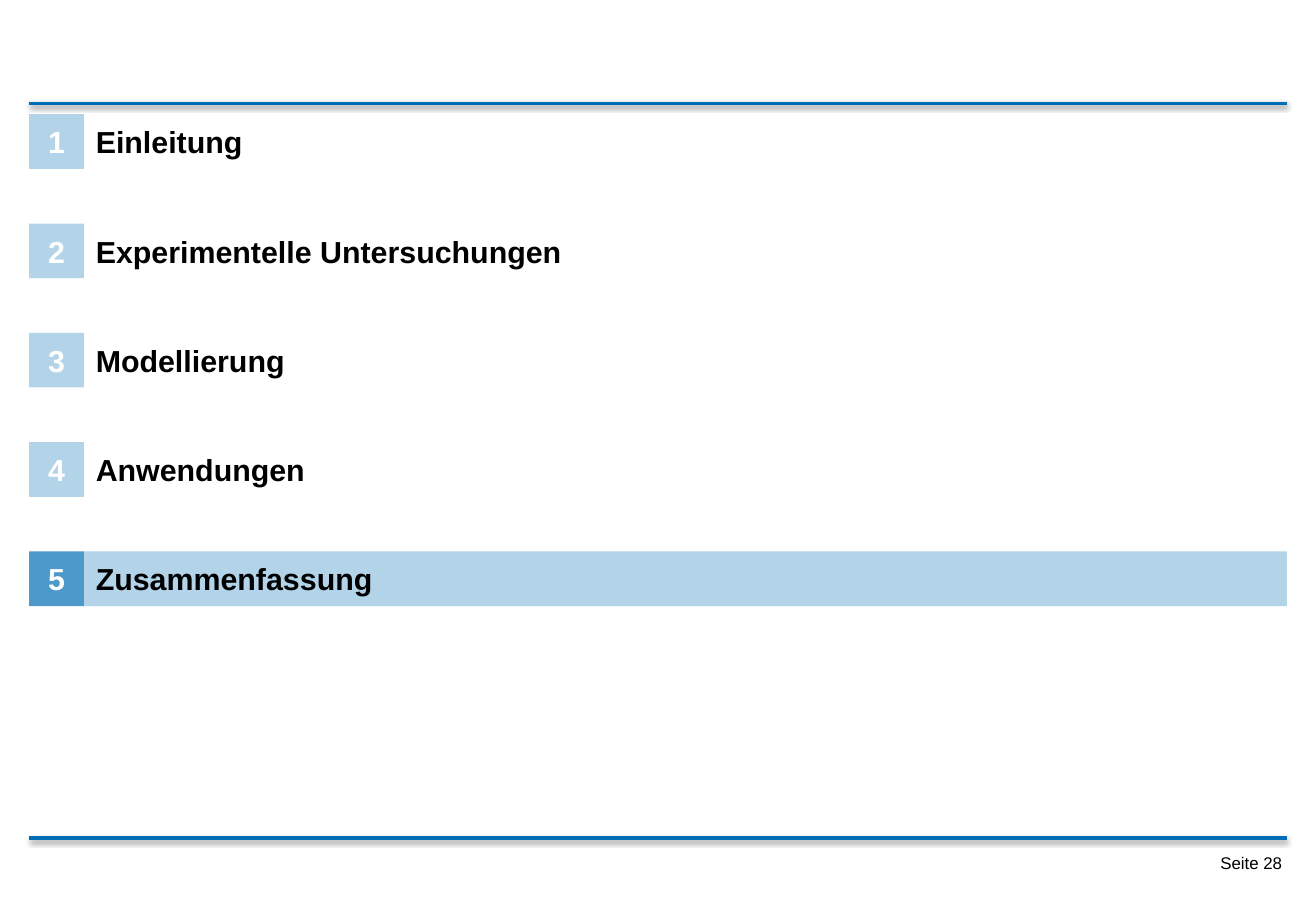
import pptx
import pptx.util
import pptx.dml.color
import pptx.enum.shapes
import pptx.enum.text
import pptx.oxml

SCALE = 9144
LEFT, RIGHT = 24, 1059
SIDE = 45
TOP, STEP = 94, 90
BLUE, MID, PALE, WHITE, BLACK = "006DB6", "4D99CC", "B3D3E9", "FFFFFF", "000000"
TOPICS = [
    "Einleitung",
    "Experimentelle Untersuchungen",
    "Modellierung",
    "Anwendungen",
    "Zusammenfassung",
]
ACTIVE = 5
ALIGN = pptx.enum.text.PP_ALIGN
ANCHOR = pptx.enum.text.MSO_ANCHOR
SHADOW = (
    '<a:effectLst xmlns:a="http://schemas.openxmlformats.org/drawingml/2006/main">'
    '<a:outerShdw blurRad="39370" dist="20320" dir="5400000" rotWithShape="0">'
    '<a:srgbClr val="000000"><a:alpha val="38000"/></a:srgbClr>'
    "</a:outerShdw></a:effectLst>"
)


def px(*nums):
    return [pptx.util.Emu(num * SCALE) for num in nums]


def tint(code):
    return pptx.dml.color.RGBColor.from_string(code)


def apply(item, values):
    for name, value in values.items():
        setattr(item, name, value)


def write(shape, text, size, color, bold, align, anchor, inset):
    left, top, right, base = px(*inset)
    frame = shape.text_frame
    apply(frame, {
        "word_wrap": True,
        "vertical_anchor": anchor,
        "margin_left": left,
        "margin_top": top,
        "margin_right": right,
        "margin_bottom": base,
    })
    para = frame.paragraphs[0]
    para.alignment = align
    run = para.add_run()
    run.text = text
    apply(run.font, {"name": "Arial", "size": pptx.util.Pt(size), "bold": bold})
    run.font.color.rgb = tint(color)


def add_rule(slide, y):
    rule = slide.shapes.add_connector(
        pptx.enum.shapes.MSO_CONNECTOR.STRAIGHT, *px(RIGHT, y, LEFT, y))
    rule.line.color.rgb = tint(BLUE)
    rule.line.width = pptx.util.Pt(2)
    rule._element.spPr.append(pptx.oxml.parse_xml(SHADOW))


def add_bar(slide, x, y, width, fill, text, color, align, pad):
    bar = slide.shapes.add_shape(
        pptx.enum.shapes.MSO_SHAPE.RECTANGLE, *px(x, y, width, SIDE))
    bar.shadow.inherit = False
    bar.fill.solid()
    bar.fill.fore_color.rgb = tint(fill)
    bar.line.fill.background()
    write(bar, text, 18, color, True, align, ANCHOR.MIDDLE, (pad, 0, pad, 0))


def add_topic(slide, number, text):
    y = TOP + (number - 1) * STEP
    back, badge = (PALE, MID) if number == ACTIVE else (WHITE, PALE)
    start = LEFT + SIDE
    add_bar(slide, start, y, RIGHT - start, back, text, BLACK, ALIGN.LEFT, 10)
    add_bar(slide, LEFT, y, SIDE, badge, str(number), WHITE, ALIGN.CENTER, 0)


def add_page(slide, text):
    box = slide.shapes.add_textbox(*px(914, 698, 145, 35))
    write(box, text, 10, BLACK, False, ALIGN.RIGHT, ANCHOR.TOP, (4, 4, 4, 0))


def main():
    deck = pptx.Presentation()
    deck.slide_width, deck.slide_height = px(1083, 750)
    slide = deck.slides.add_slide(deck.slide_layouts[6])
    add_page(slide, "Seite 28")
    for y in (85, 690):
        add_rule(slide, y)
    for number, text in enumerate(TOPICS, 1):
        add_topic(slide, number, text)
    deck.save("out.pptx")


if __name__ == "__main__":
    main()
